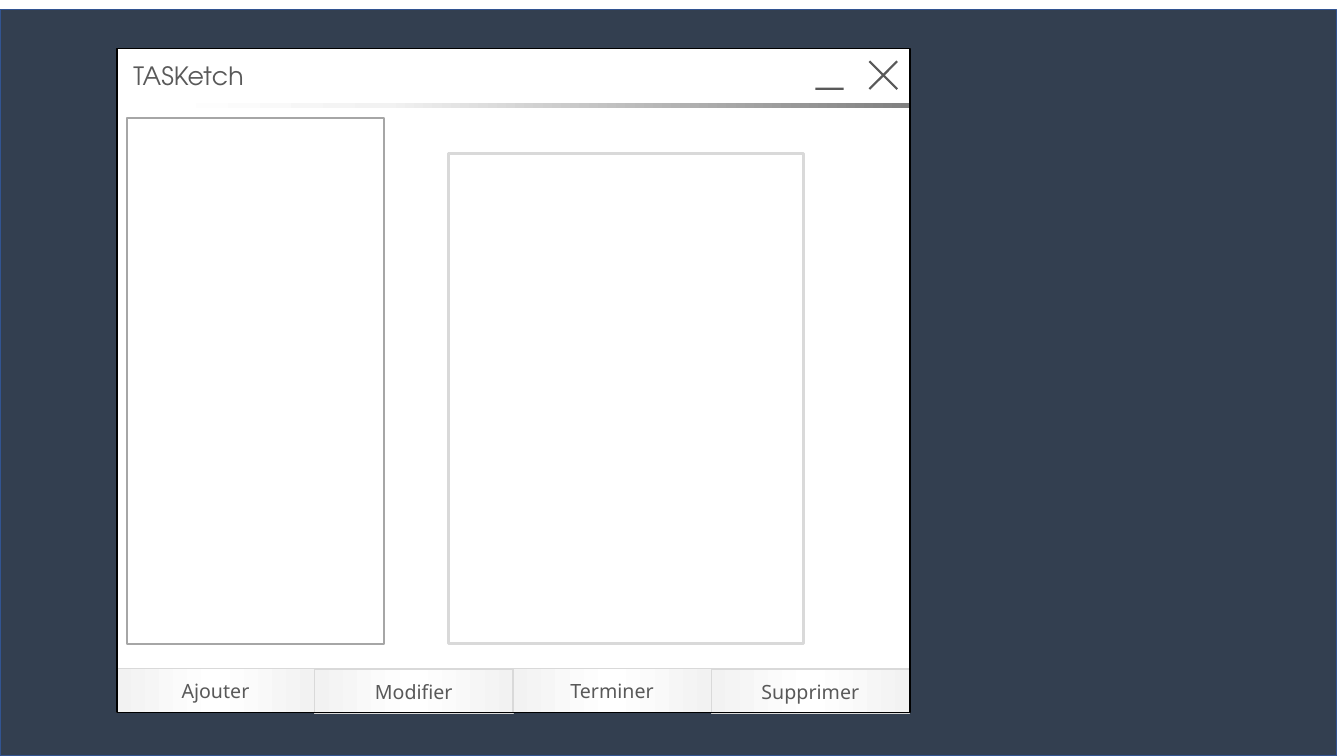
"""Builds a slide with the mock-up of a task manager window."""
from dataclasses import dataclass

from lxml import etree
from pptx import Presentation
from pptx.dml.color import RGBColor
from pptx.enum.shapes import MSO_SHAPE
from pptx.enum.text import MSO_ANCHOR, MSO_AUTO_SIZE, PP_ALIGN
from pptx.oxml.ns import qn
from pptx.shapes.autoshape import Shape
from pptx.shapes.shapetree import SlideShapes
from pptx.util import Pt

RECTANGLE = MSO_SHAPE.RECTANGLE
CROSS = MSO_SHAPE.MATH_MULTIPLY
MIDDLE = MSO_ANCHOR.MIDDLE
CENTER = PP_ALIGN.CENTER
GROW = MSO_AUTO_SIZE.SHAPE_TO_FIT_TEXT

WHITE = RGBColor(0xFF, 0xFF, 0xFF)
BLACK = RGBColor(0x00, 0x00, 0x00)
NAVY = RGBColor(0x33, 0x3F, 0x50)
BLUE = RGBColor(0x32, 0x54, 0x91)
DARK_GRAY = RGBColor(0x59, 0x59, 0x59)
GRAY = RGBColor(0x80, 0x80, 0x80)
MID_GRAY = RGBColor(0xA6, 0xA6, 0xA6)
LIGHT_GRAY = RGBColor(0xD9, 0xD9, 0xD9)
PALE_GRAY = RGBColor(0xF2, 0xF2, 0xF2)


@dataclass(frozen=True)
class Gradient:
    """A linear gradient with stops in percent."""
    stops: tuple[tuple[int, RGBColor], ...]
    angle: int = 0


@dataclass(frozen=True)
class Box:
    """A preset shape with its place in points and its paint."""
    left: float
    top: float
    width: float
    height: float
    fill: RGBColor | Gradient | None = None
    line: RGBColor | None = None
    weight: float = 1
    preset: MSO_SHAPE = RECTANGLE


@dataclass(frozen=True)
class Label:
    """A centred text with its font."""
    text: str
    font: str
    size: float


WINDOW_LEFT, WINDOW_TOP, WINDOW_WIDTH, WINDOW_HEIGHT = 83.5, 34.6, 566.6, 474.5
WINDOW = (WINDOW_LEFT, WINDOW_TOP, WINDOW_WIDTH, WINDOW_HEIGHT)
WINDOW_RIGHT = WINDOW_LEFT + WINDOW_WIDTH
BAR_HEIGHT = 31.7
BAR_TOP = WINDOW_TOP + WINDOW_HEIGHT - BAR_HEIGHT
CONTROL = 38.2
BUTTON_NAMES = ("Ajouter", "Modifier", "Terminer", "Supprimer")
BUTTON_WIDTH = WINDOW_WIDTH / len(BUTTON_NAMES)
BUTTON_FILL = Gradient(((0, PALE_GRAY), (50, WHITE), (100, PALE_GRAY)))
RULE_FILL = Gradient(((0, GRAY), (66, PALE_GRAY), (94, WHITE)), 180)

BACKDROP = (
    Box(0, 6.7, 954.7, 533.3, NAVY, BLUE),
    Box(*WINDOW, WHITE),
    Box(WINDOW_LEFT, BAR_TOP, WINDOW_WIDTH, BAR_HEIGHT, MID_GRAY),
    Box(WINDOW_RIGHT - 2 * CONTROL, WINDOW_TOP, CONTROL, 41.8, WHITE),
    Box(WINDOW_RIGHT - CONTROL, WINDOW_TOP, CONTROL, 41.8, WHITE),
    Box(WINDOW_LEFT, 73.4, WINDOW_WIDTH, 3.6, RULE_FILL),
)
MINIMIZE = Box(582.5, 62.6, 20.2, 1.6, DARK_GRAY)
FRAME = Box(*WINDOW, line=BLACK)
CLOSE = Box(WINDOW_RIGHT - CONTROL, WINDOW_TOP, CONTROL, CONTROL, DARK_GRAY, preset=CROSS)
PANELS = (
    Box(90.7, 84.2, 183.6, 375.8, WHITE, MID_GRAY, 1.5),
    Box(320.4, 109.4, 253.4, 350.6, WHITE, LIGHT_GRAY, 2.25),
)
TITLE = Label("TASKetch", "TeX Gyre Adventor", 18)


def apply_gradient(shape: Shape, gradient: Gradient) -> None:
    """Fill the shape with all stops of the gradient."""
    shape.fill.gradient()
    shape.fill.gradient_angle = gradient.angle
    stop_list = shape.fill._fPr.find(".//" + qn("a:gsLst")) if hasattr(
        shape.fill, "_fPr") else shape._element.spPr.find(".//" + qn("a:gsLst"))
    for stop in list(stop_list):
        stop_list.remove(stop)
    for percent, color in gradient.stops:
        stop = etree.SubElement(stop_list, qn("a:gs"), pos=str(percent * 1000))
        etree.SubElement(stop, qn("a:srgbClr"), val=str(color))


def draw_box(shapes: SlideShapes, box: Box) -> Shape:
    """Add one shape with its fill and outline."""
    place = map(Pt, (box.left, box.top, box.width, box.height))
    shape = shapes.add_shape(box.preset, *place)
    shape.shadow.inherit = False
    if isinstance(box.fill, Gradient):
        apply_gradient(shape, box.fill)
    elif box.fill is None:
        shape.fill.background()
    else:
        shape.fill.solid()
        shape.fill.fore_color.rgb = box.fill
    if box.line is None:
        shape.line.fill.background()
    else:
        shape.line.color.rgb = box.line
        shape.line.width = Pt(box.weight)
    return shape


def write_label(shape: Shape, label: Label, frame_format: dict[str, object]) -> None:
    """Write the centred label into the shape."""
    frame = shape.text_frame
    for name, value in frame_format.items():
        setattr(frame, name, value)
    para = frame.paragraphs[0]
    para.alignment = CENTER
    span = para.add_run()
    span.text = label.text
    for name, value in {"name": label.font, "size": Pt(label.size)}.items():
        setattr(span.font, name, value)
    span.font.color.rgb = DARK_GRAY


def draw_buttons(shapes: SlideShapes) -> None:
    """Add the row of command buttons, every second one slightly lower."""
    for index, name in enumerate(BUTTON_NAMES):
        button = Box(WINDOW_LEFT - 0.4 + index * BUTTON_WIDTH, BAR_TOP + 0.6 * (index % 2),
                     BUTTON_WIDTH, BAR_HEIGHT, BUTTON_FILL, LIGHT_GRAY)
        write_label(draw_box(shapes, button), Label(name, "Noto Sans", 14),
                    {"vertical_anchor": MIDDLE})


def main() -> None:
    """Build and save the deck."""
    deck = Presentation()
    deck.slide_width, deck.slide_height = Pt(960), Pt(540)
    page = deck.slides.add_slide(deck.slide_layouts[6])
    for box in BACKDROP:
        draw_box(page.shapes, box)
    draw_buttons(page.shapes)
    for box in (MINIMIZE, FRAME):
        draw_box(page.shapes, box)
    draw_box(page.shapes, CLOSE).adjustments[0] = 0.04
    title_box = page.shapes.add_textbox(Pt(86.4), Pt(39.6), Pt(96.5), Pt(28.8))
    write_label(title_box, TITLE, {"word_wrap": False, "auto_size": GROW})
    for panel in PANELS:
        draw_box(page.shapes, panel)
    deck.save("out.pptx")


main()
